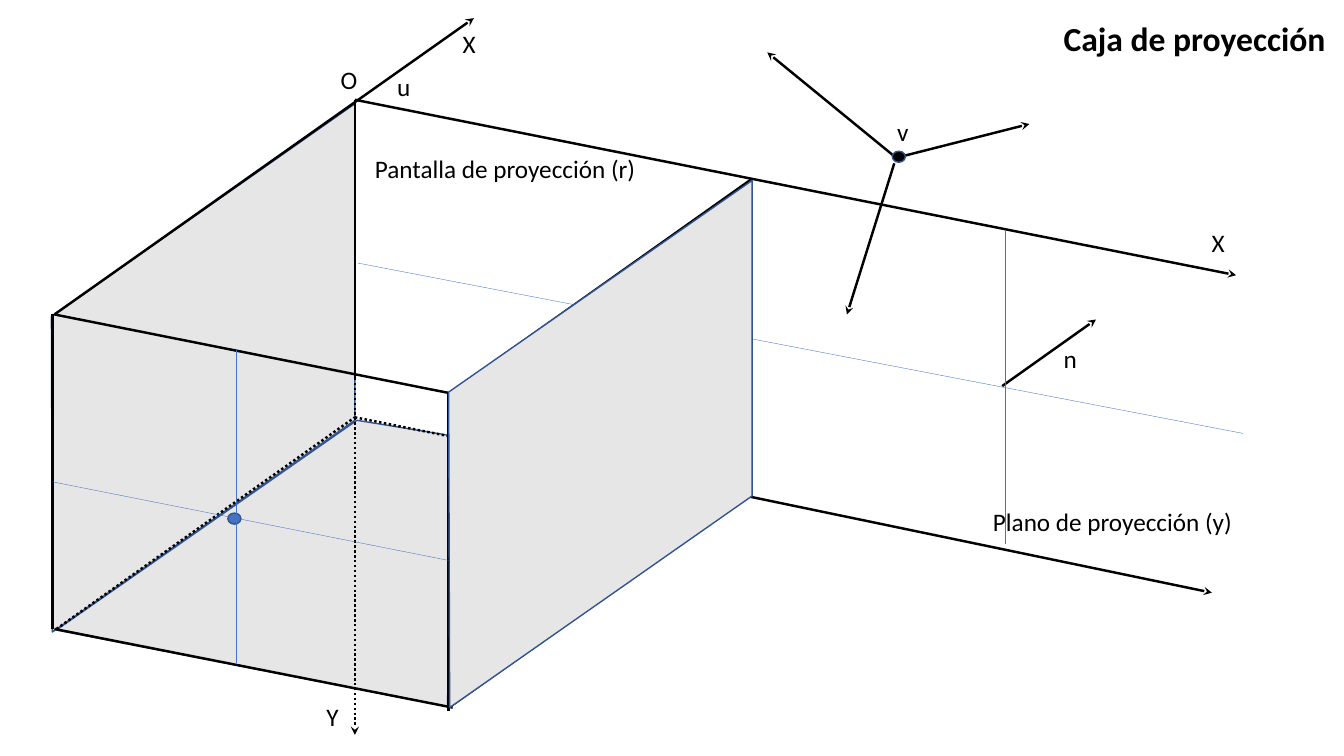
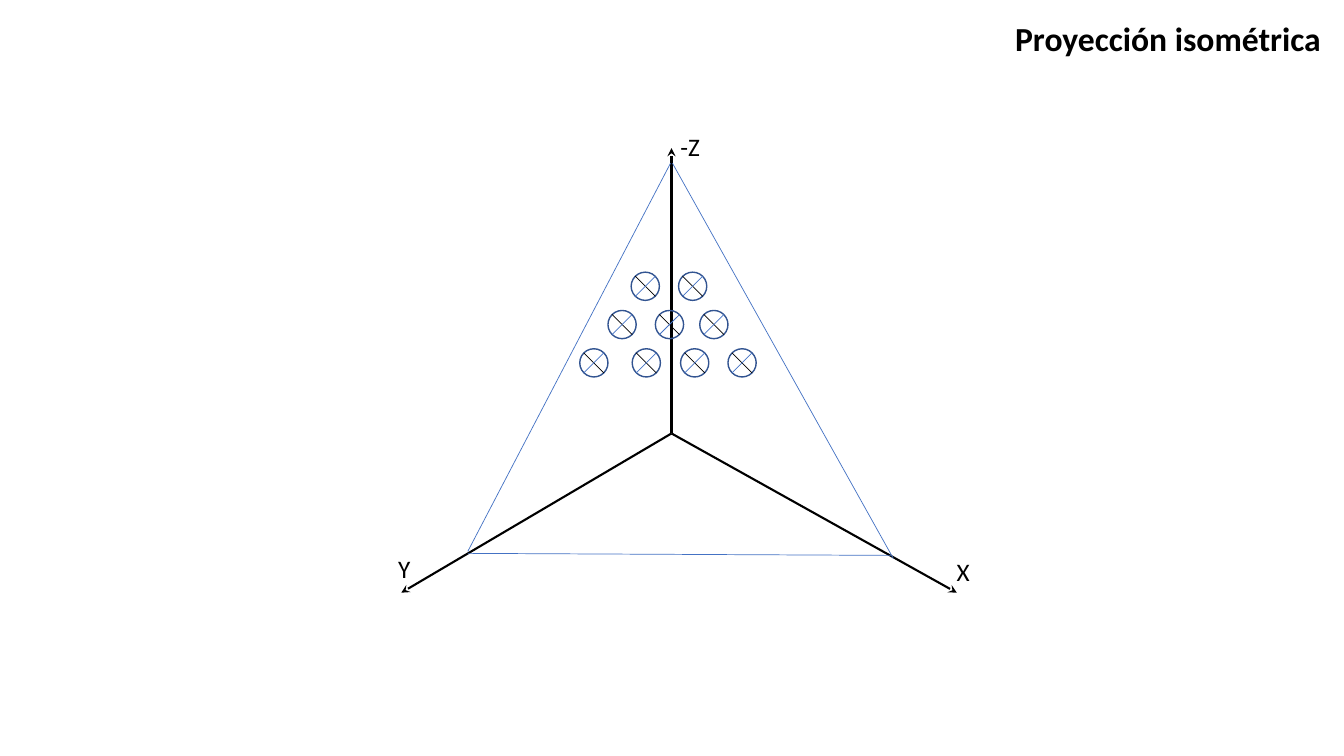
from lxml.etree import SubElement
from pptx import Presentation
from pptx.dml.color import RGBColor
from pptx.enum.dml import MSO_LINE
from pptx.enum.shapes import MSO_CONNECTOR, MSO_SHAPE
from pptx.enum.text import MSO_AUTO_SIZE
from pptx.oxml.ns import qn
from pptx.util import Inches, Pt

BLACK, BLUE, NAVY, GREY = "000000", "4472C4", "325491", "E7E6E6"


def rgb(value):
    return RGBColor.from_string(value)


class Diagram:
    font = "Calibri"
    label_size = 18
    title_size = 24

    def __init__(self):
        self.deck = Presentation()
        self.deck.slide_width = Inches(13.33)
        self.deck.slide_height = Inches(7.5)
        self.shapes = None

    def new_slide(self, title, left, width):
        self.shapes = self.deck.slides.add_slide(self.deck.slide_layouts[6]).shapes
        self.text(title, left, 0.13, width, 0.5, self.title_size, True)

    def text(self, words, left, top, width=0.34, height=0.4, size=label_size, bold=False):
        box = self.shapes.add_textbox(Inches(left), Inches(top), Inches(width), Inches(height))
        frame = box.text_frame
        frame.word_wrap = False
        frame.auto_size = MSO_AUTO_SIZE.SHAPE_TO_FIT_TEXT
        paragraph = frame.paragraphs[0]
        paragraph.text = words
        paragraph.font.name = self.font
        paragraph.font.size = Pt(size)
        paragraph.font.bold = bold
        paragraph.font.color.rgb = rgb(BLACK)

    def line(self, start, end, width=1.75, color=BLACK, dotted=False, arrow=False, parent=None):
        ends = [Inches(value) for value in (*start, *end)]
        connector = (parent or self.shapes).add_connector(MSO_CONNECTOR.STRAIGHT, *ends)
        connector.line.color.rgb = rgb(color)
        connector.line.width = Pt(width)
        if dotted:
            connector.line.dash_style = MSO_LINE.ROUND_DOT
        properties = connector.element.spPr
        if arrow:
            SubElement(properties.find(qn("a:ln")), qn("a:tailEnd"), type="stealth")
        SubElement(properties, qn("a:effectLst"))

    def paint(self, shape, fill):
        shape.shadow.inherit = False
        if fill:
            shape.fill.solid()
            shape.fill.fore_color.rgb = rgb(fill)
        else:
            shape.fill.background()
        shape.line.color.rgb = rgb(NAVY)
        shape.line.width = Pt(1)

    def ellipse(self, left, top, width=0.13, height=0.11, fill=None, parent=None):
        box = [Inches(value) for value in (left, top, width, height)]
        self.paint((parent or self.shapes).add_shape(MSO_SHAPE.OVAL, *box), fill)

    def face(self, *corners):
        points = [(Inches(x), Inches(y)) for x, y in corners]
        builder = self.shapes.build_freeform(*points[0])
        builder.add_line_segments(points[1:], close=True)
        self.paint(builder.convert_to_shape(), GREY)

    def crossed_circle(self, left, top):
        diameter, inset = 0.28, 0.04
        near, far = inset, diameter - inset
        symbol = self.shapes.add_group_shape().shapes
        self.ellipse(left, top, diameter, diameter, parent=symbol)
        self.line((left + near, top + near), (left + far, top + far), 0.5, parent=symbol)
        self.line((left + far, top + near), (left + near, top + far), 0.5, BLUE, parent=symbol)


def projection_box(diagram):
    diagram.new_slide("Caja de proyección", 10.45, 2.83)
    origin, back_base = (3.52, 0.99), (3.52, 4.14)
    hidden_start = (3.52, 3.75)
    screen_top, screen_base = (7.45, 1.78), (7.45, 4.93)
    front_left, front_right = (0.54, 3.12), (4.46, 3.9)

    diagram.face((3.54, 4.17), (4.46, 4.32), (4.44, 7.01), (0.56, 6.25))
    diagram.face((3.52, 1.03), (3.52, 4.17), (0.52, 6.27), (0.51, 3.14))

    for start, end in [
        (origin, hidden_start),
        (screen_top, screen_base),
        (front_right, screen_top),
        ((4.45, 3.9), (4.45, 7.05)),
        (front_left, front_right),
        ((0.52, 3.12), (0.52, 6.24)),
        ((0.54, 6.24), (4.49, 7.02)),
        ((4.45, 7.02), (7.45, 4.9)),
    ]:
        diagram.line(start, end)

    for start, end in [
        (back_base, screen_base),
        ((0.56, 6.24), back_base),
        (hidden_start, back_base),
    ]:
        diagram.line(start, end, dotted=True)
    diagram.line(back_base, (3.52, 7.29), dotted=True, arrow=True)

    for start, end in [
        (origin, (12.26, 2.73)),
        (front_left, (4.7, 0.18)),
        (screen_base, (12.02, 5.88)),
        ((8.95, 1.55), (10.21, 1.23)),
        ((8.87, 1.55), (7.61, 0.52)),
        ((8.87, 1.62), (8.4, 3.12)),
        ((9.94, 3.83), (10.87, 3.17)),
    ]:
        diagram.line(start, end, arrow=True)

    diagram.ellipse(2.26, 5.09, fill=BLUE)
    diagram.ellipse(8.85, 1.5, fill=BLACK)

    for start, end in [
        ((0.52, 4.78), (4.45, 5.56)),
        ((2.34, 3.47), (2.34, 6.58)),
        ((3.55, 2.61), (12.33, 4.3)),
        ((9.97, 2.29), (9.97, 5.4)),
    ]:
        diagram.line(start, end, 0.25, BLUE)

    diagram.text("Plano de proyección (y)", 9.75, 4.97, 2.6)
    diagram.text("Pantalla de proyección (r)", 3.62, 1.47, 2.82)
    for letter, left, top in [
        ("n", 10.45, 3.36),
        ("O", 3.28, 0.59),
        ("X", 11.92, 2.21),
        ("Y", 3.14, 6.91),
        ("X", 4.49, 0.23),
        ("v", 8.8, 1.11),
        ("u", 3.84, 0.66),
    ]:
        diagram.text(letter, left, top)

    diagram.face((7.46, 1.79), (7.46, 4.92), (4.46, 7.02), (4.45, 3.89))


def isometric_projection(diagram):
    diagram.new_slide("Proyección isométrica", 9.97, 3.26)
    center = (6.66, 4.3)
    for tip in [(6.66, 1.47), (3.98, 5.88), (9.49, 5.88)]:
        diagram.line(center, tip, 1.5, arrow=True)

    diagram.text("-Z", 6.65, 1.25, 0.4)
    diagram.text("Y", 3.85, 5.44)
    diagram.text("X", 9.39, 5.47)

    for start, end in [
        ((6.65, 1.62), (4.64, 5.47)),
        ((6.67, 1.62), (8.86, 5.54)),
        ((4.64, 5.49), (8.84, 5.51)),
    ]:
        diagram.line(start, end, 0.5, BLUE)

    circle_rows = [(6.26, 6.73), (6.03, 6.5, 6.94), (5.75, 6.27, 6.75, 7.22)]
    for row, lefts in enumerate(circle_rows):
        for left in lefts:
            diagram.crossed_circle(left, 2.7 + 0.38 * row)


def main():
    diagram = Diagram()
    projection_box(diagram)
    isometric_projection(diagram)
    diagram.deck.save("out.pptx")


if __name__ == "__main__":
    main()
